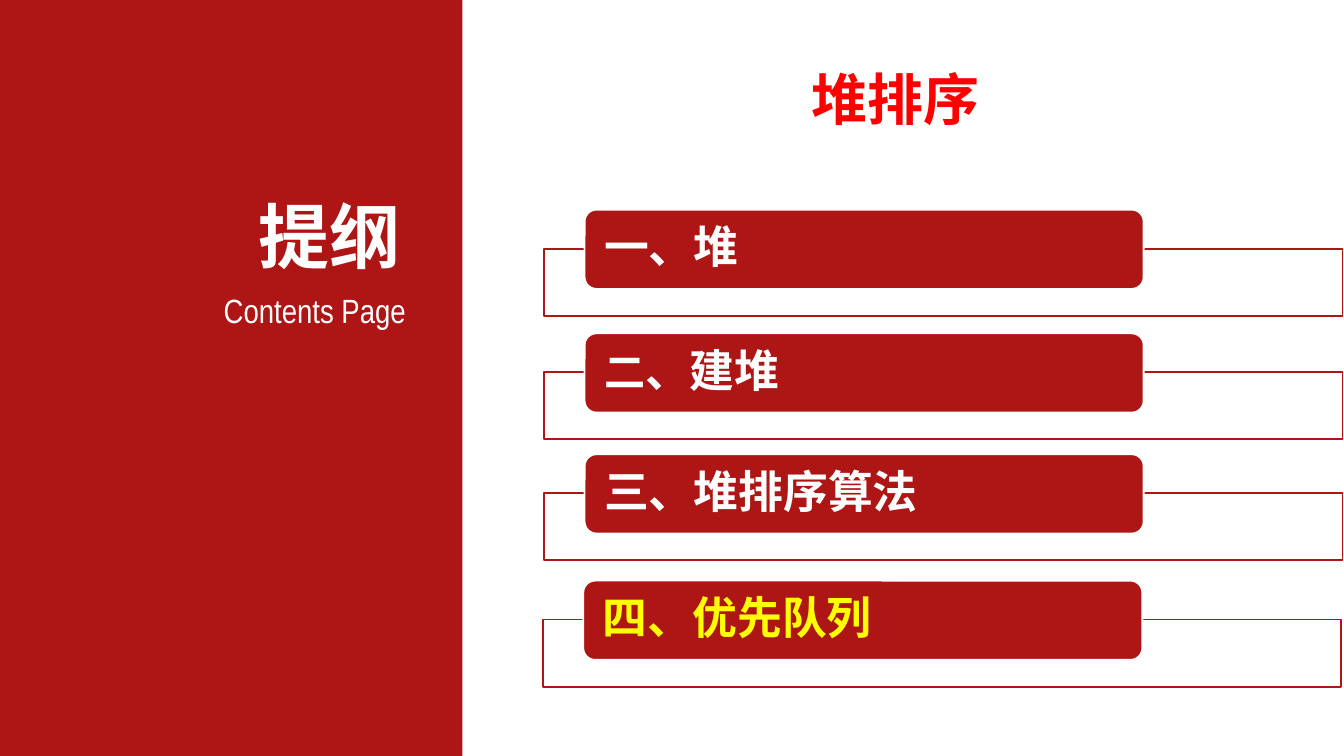
from lxml import etree
from pptx import Presentation
from pptx.dml.color import RGBColor
from pptx.enum.shapes import MSO_SHAPE
from pptx.enum.text import MSO_ANCHOR, MSO_AUTO_SIZE, PP_ALIGN
from pptx.oxml.ns import qn
from pptx.util import Inches, Pt

DARK_RED = RGBColor(0xAE, 0x16, 0x16)
RED = RGBColor(0xFF, 0x00, 0x00)
WHITE = RGBColor(0xFF, 0xFF, 0xFF)
YELLOW = RGBColor(0xFF, 0xFF, 0x00)


def add_box(kind, left, top, width, height, fill, line=None):
    shape = slide.shapes.add_shape(
        kind, Inches(left), Inches(top), Inches(width), Inches(height))
    shape.shadow.inherit = False
    shape.fill.solid()
    shape.fill.fore_color.rgb = fill
    if line is None:
        shape.line.fill.background()
    else:
        shape.line.color.rgb = line
        shape.line.width = Pt(1)
    return shape


def set_font(font, name, size, color, bold=True):
    font.name = name
    font.size = Pt(size)
    font.color.rgb = color
    font.bold = bold


presentation = Presentation()
presentation.slide_width = Inches(10)
presentation.slide_height = Inches(10) * 9 // 16
slide = presentation.slides.add_slide(presentation.slide_layouts[5])

# Side panel with its headings
panel = add_box(MSO_SHAPE.RECTANGLE, 0, 0, 3.44, 5.62, DARK_RED)
panel.height = presentation.slide_height
headings = [
    ("Contents Page", 0.34, 2.12, 2.75, 0.38, "Arial Narrow", 18, False),
    ("提纲", 1.1, 1.39, 1.95, 0.72, "Arial", 38, True),
]
for text, left, top, width, height, font_name, size, bold in headings:
    text_box = slide.shapes.add_textbox(
        Inches(left), Inches(top), Inches(width), Inches(height))
    frame = text_box.text_frame
    frame.word_wrap = True
    frame.auto_size = MSO_AUTO_SIZE.SHAPE_TO_FIT_TEXT
    frame.margin_left = frame.margin_right = Inches(0.07)
    frame.margin_top = frame.margin_bottom = Inches(0.04)
    paragraph = frame.paragraphs[0]
    paragraph.text = text
    paragraph.alignment = PP_ALIGN.RIGHT
    set_font(paragraph.font, font_name, size, WHITE, bold)

# Slide title
title = slide.shapes.title
title.left, title.top = Inches(3.44), Inches(0)
title.width, title.height = Inches(6.45), Inches(1.21)
title.text_frame.vertical_anchor = MSO_ANCHOR.MIDDLE
paragraph = title.text_frame.paragraphs[0]
paragraph.text = "堆排序"
paragraph.alignment = PP_ALIGN.CENTER
paragraph.line_spacing = 1.5
set_font(paragraph.font, "Arial", 30, RED)

# Outline entries: a framed strip with a label on its upper edge
entries = [
    (("一、堆",), 4.05, 1.56, "Roboto", WHITE),
    (("二", "、建堆"), 4.05, 2.48, "Noto Sans CJK SC", WHITE),
    (("三、堆排序算法",), 4.05, 3.38, "Noto Sans CJK SC", WHITE),
    (("四、优先队列",), 4.04, 4.32, "Roboto", YELLOW),
]
for texts, left, top, font_name, color in entries:
    strip = add_box(MSO_SHAPE.RECTANGLE, left, top + 0.29, 5.94, 0.5, WHITE, DARK_RED)
    fill_color = strip.element.spPr.find(qn("a:solidFill"))[0]
    etree.SubElement(fill_color, qn("a:alpha"), val="90000")

    label = add_box(MSO_SHAPE.ROUNDED_RECTANGLE, left + 0.3, top, 4.16, 0.59, DARK_RED, WHITE)
    label.adjustments[0] = 0.15
    frame = label.text_frame
    frame.word_wrap = True
    frame.vertical_anchor = MSO_ANCHOR.MIDDLE
    frame.margin_left = frame.margin_right = Inches(0.12)
    frame.margin_top = frame.margin_bottom = Inches(0.02)
    paragraph = frame.paragraphs[0]
    paragraph.alignment = PP_ALIGN.LEFT
    paragraph.line_spacing = 0.9
    paragraph.space_after = Pt(8)
    set_font(paragraph.font, font_name, 24, color)
    for text in texts:
        run = paragraph.add_run()
        run.text = text
        if text == "二":
            run.font.size = Pt(22)

presentation.save("out.pptx")
